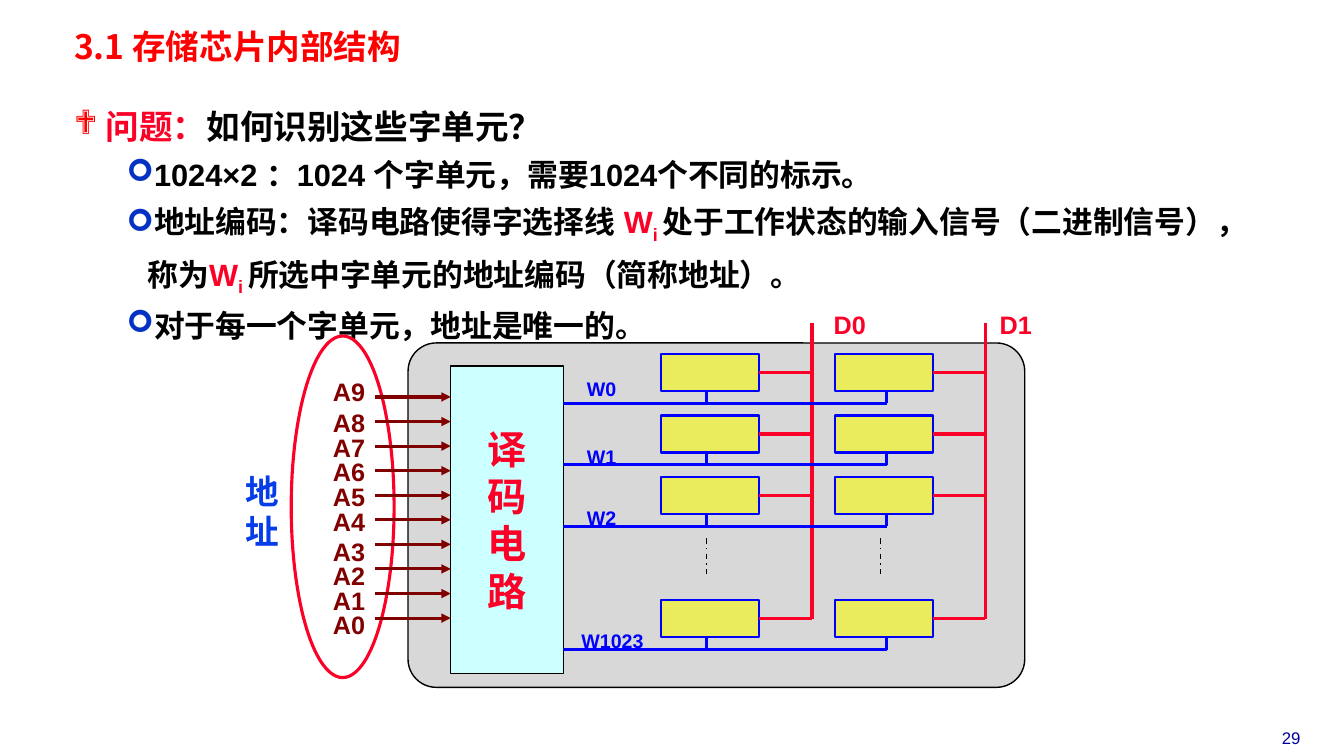
"""Build the slide on how a memory chip decodes addresses to word lines."""
from lxml.etree import SubElement
from pptx import Presentation
from pptx.dml.color import RGBColor
from pptx.enum.dml import MSO_LINE
from pptx.enum.shapes import MSO_CONNECTOR, MSO_SHAPE
from pptx.enum.text import MSO_ANCHOR, PP_ALIGN
from pptx.oxml.ns import qn
from pptx.util import Pt

RED = RGBColor(0xFC, 0x01, 0x28)
TITLE = RGBColor(0xFF, 0x00, 0x00)
BLUE = RGBColor(0x00, 0x00, 0xFF)
NAVY = RGBColor(0x00, 0x00, 0x99)
ROYAL = RGBColor(0x06, 0x3D, 0xE8)
BROWN = RGBColor(0x80, 0x00, 0x00)
BLACK = RGBColor(0x00, 0x00, 0x00)
GREY = RGBColor(0xBF, 0xBF, 0xBF)
CYAN = RGBColor(0xCC, 0xFF, 0xFF)
YELLOW = RGBColor(0xEA, 0xEC, 0x5E)
CJK = "Noto Sans CJK SC"

deck = Presentation()
deck.slide_width, deck.slide_height = Pt(960), Pt(540)
slide = deck.slides.add_slide(deck.slide_layouts[6])
shapes = slide.shapes


def write(para, text, size, color, bold=True, face="Arial"):
    """Add one run of text to a paragraph."""
    run = para.add_run()
    run.text = text
    for name, value in dict(size=Pt(size), bold=bold, name=face).items():
        setattr(run.font, name, value)
    run.font.color.rgb = color
    SubElement(run.font._element, qn("a:ea"), typeface=face)
    return run


def wire(x1, y1, x2, y2, color, width=2.25):
    """Draw a straight line without a shadow."""
    line = shapes.add_connector(MSO_CONNECTOR.STRAIGHT, Pt(x1), Pt(y1), Pt(x2), Pt(y2))
    line.line.color.rgb = color
    line.line.width = Pt(width)
    SubElement(line._element.spPr, qn("a:effectLst"))
    return line


head = shapes.add_textbox(Pt(48), Pt(20), Pt(462), Pt(30)).text_frame
body = shapes.add_textbox(Pt(48), Pt(66), Pt(846), Pt(170)).text_frame
for frame in (head, body):
    frame.word_wrap = True
    frame.margin_left = frame.margin_right = Pt(5)
    frame.margin_top = frame.margin_bottom = Pt(2.5)
head.paragraphs[0].line_spacing = 0.87
write(head.paragraphs[0], "3.1 存储芯片内部结构", 24, TITLE, face=CJK)

points = [
    ("❖", [("问题：", RED), ("如何识别这些字单元？", BLACK)]),
    ("➢", [("1024×2 ：1024 个字单元，需要1024个不同的标示。", BLACK)]),
    ("➢", [("地址编码：译码电路使得字选择线 ", BLACK), ("W", RED), ("i ", RED),
           ("处于工作状态的输入信号（二进制信号），称为", BLACK), ("W", RED), ("i ", RED),
           ("所选中字单元的地址编码（简称地址）。", BLACK)]),
    ("➢", [("对于每一个字单元，地址是唯一的。", BLACK)]),
]
for place, (mark, runs) in enumerate(points):
    para = body.paragraphs[0] if place == 0 else body.add_paragraph()
    top = mark == "❖"
    para.line_spacing = 1.25
    props = para._p.get_or_add_pPr()
    props.set("marL", str(Pt(22.5 if top else 52.5)))
    props.set("indent", str(Pt(-22.5 if top else -15)))
    tint = SubElement(props, qn("a:buClr"))
    SubElement(tint, qn("a:srgbClr"), val="FF0000" if top else "0532C3")
    SubElement(props, qn("a:buFont"), typeface="Wingdings")
    SubElement(props, qn("a:buChar"), char=mark)
    for text, color in runs:
        run = write(para, text, 24 if top else 22, color)
        if text == "i ":
            run.font._element.set("baseline", "-25000")

blocks = {}
for name, kind, x, y, wide, high, fill, edge, width in [
    ("chip", MSO_SHAPE.ROUNDED_RECTANGLE, 291.5, 245, 440.5, 246, GREY, BLACK, 1),
    ("decoder", MSO_SHAPE.RECTANGLE, 322, 261.5, 80.5, 219.5, CYAN, BLACK, 1),
    ("ring", MSO_SHAPE.OVAL, 208, 240, 73.5, 244, None, RED, 2.25),
] + [
    ((col, row), MSO_SHAPE.RECTANGLE, 472.25 + 124 * col, 252.75 + 44 * row,
     70, 26.5, YELLOW, BLUE, 1.5)
    for col in range(2) for row in (0, 1, 2, 4)
]:
    block = blocks[name] = shapes.add_shape(kind, Pt(x), Pt(y), Pt(wide), Pt(high))
    block.shadow.inherit = False
    block.line.color.rgb = edge
    block.line.width = Pt(width)
    if fill is None:
        block.fill.background()
    else:
        block.fill.solid()
        block.fill.fore_color.rgb = fill
blocks["chip"].adjustments[0] = 0.082
shade = blocks["chip"]._element.spPr.find(qn("a:solidFill"))[0]
SubElement(shade, qn("a:alpha"), val="60000")

frame = blocks["decoder"].text_frame
frame.word_wrap = False
frame.vertical_anchor = MSO_ANCHOR.MIDDLE
for place, char in enumerate("译码电路"):
    para = frame.paragraphs[0] if place == 0 else frame.add_paragraph()
    para.alignment = PP_ALIGN.CENTER
    write(para, char, 28, RED, face=CJK)

labels = [("29", 888.5, 516, 67.5, 12, NAVY),
          ("D0", 580, 217.5, 54, 18, RED),
          ("D1", 698.5, 217.5, 54, 18, RED)]

for col, bus in enumerate((580, 703.75)):
    wire(bus, 230.5, bus, 442, RED)
    for row in (0, 1, 2, 4):
        y = 266 + 44 * row
        wire(542.25 + 124 * col, y, bus, y, RED).begin_connect(blocks[col, row], 3)
    x = 504.75 + 124 * col
    wire(x, 384.5, x, 410.5, BLACK, 1).line.dash_style = MSO_LINE.DASH_DOT

for row, name, x, lift, wide in [(0, "W0", 408.25, 22.5, 43), (1, "W1", 408.25, 18, 43),
                                 (2, "W2", 408.25, 18, 43), (4, "W1023", 402.5, 18, 70)]:
    y = 288 + 44 * row
    wire(402.5, y, 633.5, y, BLUE)
    for stub in (504.75, 633.5):
        wire(stub, y - 9, stub, y, BLUE)
    labels.append((name, x, y - lift, wide, 14, BLUE))

for pin in range(10):
    y = 441.5 - 17.55 * pin
    arrow = wire(268, y, 322, y, BROWN)
    SubElement(arrow.line._get_or_add_ln(), qn("a:tailEnd"), type="triangle")
    lift = 18 if pin == 9 else 13.5 if pin > 3 else 9.5
    labels.append((f"A{pin}", 230.5, y - lift, 37.5, 18, BROWN))

for text, x, y, wide, size, color in labels:
    frame = shapes.add_textbox(Pt(x), Pt(y), Pt(wide), Pt(size * 1.6)).text_frame
    frame.word_wrap = False
    frame.paragraphs[0].alignment = PP_ALIGN.CENTER
    write(frame.paragraphs[0], text, size, color, bold=text != "29")

frame = shapes.add_textbox(Pt(168.5), Pt(332.5), Pt(39.5), Pt(65.5)).text_frame
frame.word_wrap = True
write(frame.paragraphs[0], "地址", 24, ROYAL)

deck.save("out.pptx")
